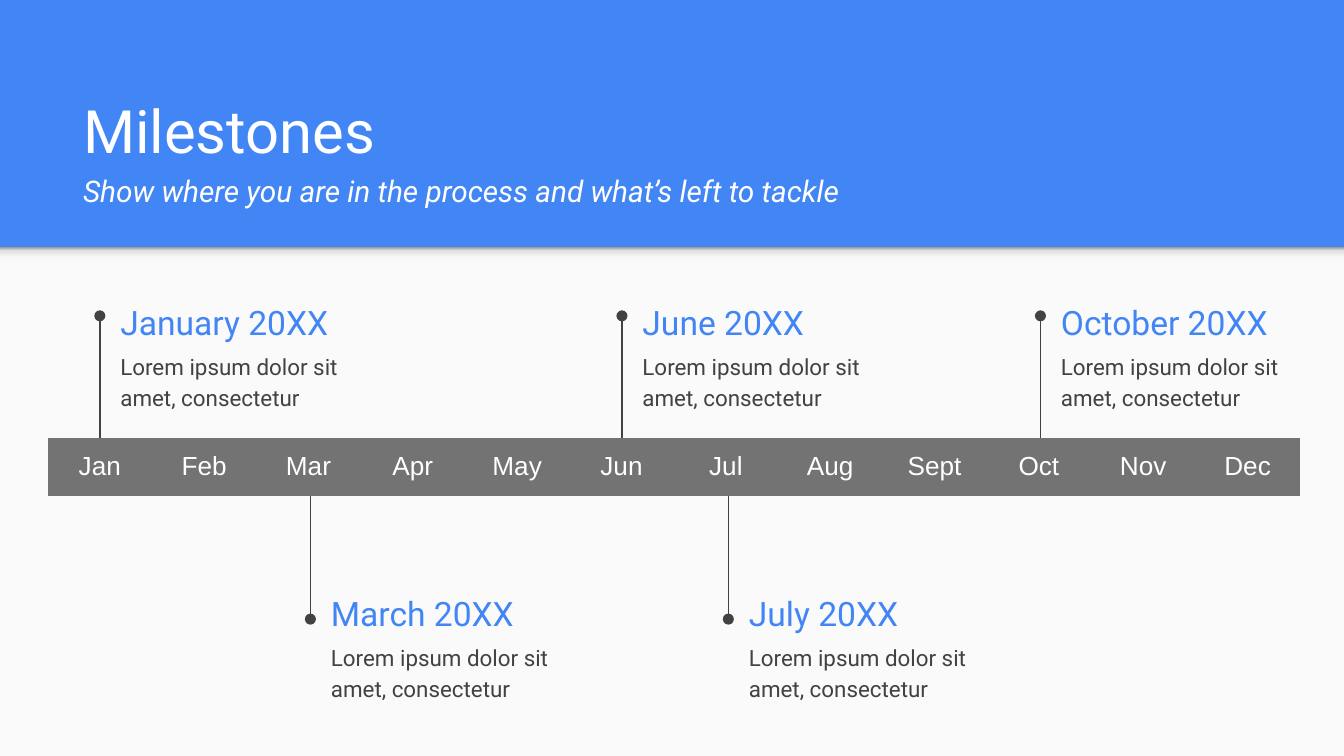
import dataclasses

import lxml.etree
import pptx
import pptx.dml.color
import pptx.enum.shapes
import pptx.enum.text
import pptx.oxml.ns
import pptx.util

Pt = pptx.util.Pt
qn = pptx.oxml.ns.qn
ANCHOR = pptx.enum.text.MSO_ANCHOR
NO_GRID_STYLE = "{2D5ABB26-0587-4C30-8999-92F81FD0307C}"


@dataclasses.dataclass(frozen=True)
class Theme:
    blue: str = "4285F4"
    paper: str = "FAFAFA"
    ink: str = "424242"
    bar: str = "737373"
    white: str = "FFFFFF"
    edge: tuple = ((0, "999999"), (20, "DEDEDE"), (64, "F9F9F9"), (100, "F9F9F9"))
    font: str = "Roboto"
    bar_font: str = "Arial"
    title: int = 32
    subtitle: int = 16
    heading: int = 18
    month: int = 14
    body: int = 12
    inset: float = 7.2
    line: float = 0.75


def rgb(value):
    return pptx.dml.color.RGBColor.from_string(value)


def write(p, text, size, color, font, italic=False, align=None,
          before=None, after=None, spacing=None):
    r = p.add_run()
    r.text = text
    r.font.size = Pt(size)
    r.font.name = font
    r.font.italic = italic
    r.font.color.rgb = rgb(color)
    p.alignment = align
    p.line_spacing = spacing
    if before is not None:
        p.space_before = Pt(before)
    if after is not None:
        p.space_after = Pt(after)


class Deck:
    def __init__(self, theme, width, height):
        self.theme = theme
        self.prs = pptx.Presentation()
        self.prs.slide_width, self.prs.slide_height = Pt(width), Pt(height)
        self.s = self.prs.slides.add_slide(self.prs.slide_layouts[6])
        fill = self.s.background.fill
        fill.solid()
        fill.fore_color.rgb = rgb(theme.blue)

    def rect(self, x, y, w, h, color):
        sp = self.s.shapes.add_shape(
            pptx.enum.shapes.MSO_SHAPE.RECTANGLE, Pt(x), Pt(y), Pt(w), Pt(h))
        sp.shadow.inherit = False
        sp.fill.solid()
        sp.fill.fore_color.rgb = rgb(color)
        sp.line.fill.background()
        return sp

    def gradient_rect(self, x, y, w, h, stops):
        sp = self.rect(x, y, w, h, stops[0][1])
        sp.fill.gradient()
        sp.fill.gradient_angle = 270
        gs_list = sp._element.spPr.find(qn("a:gradFill")).find(qn("a:gsLst"))
        for gs in list(gs_list):
            gs_list.remove(gs)
        for position, color in stops:
            gs = lxml.etree.SubElement(gs_list, qn("a:gs"), pos=str(position * 1000))
            lxml.etree.SubElement(gs, qn("a:srgbClr"), val=color)

    def text(self, x, y, w, h, *paragraphs, anchor=ANCHOR.TOP):
        tf = self.s.shapes.add_textbox(Pt(x), Pt(y), Pt(w), Pt(h)).text_frame
        tf.word_wrap = True
        tf.vertical_anchor = anchor
        tf.margin_left = tf.margin_right = Pt(self.theme.inset)
        tf.margin_top = tf.margin_bottom = Pt(self.theme.inset)
        for i, (text, style) in enumerate(paragraphs):
            p = tf.add_paragraph() if i else tf.paragraphs[0]
            write(p, text, **style)

    def pin(self, x, y1, y2):
        line = self.s.shapes.add_connector(
            pptx.enum.shapes.MSO_CONNECTOR.STRAIGHT, Pt(x), Pt(y1), Pt(x), Pt(y2))
        line.line.width = Pt(self.theme.line)
        line.line.color.rgb = rgb(self.theme.ink)
        lxml.etree.SubElement(line.line._get_or_add_ln(), qn("a:tailEnd"), type="oval")
        lxml.etree.SubElement(line._element.spPr, qn("a:effectLst"))

    def milestone(self, x, date, detail, start, end, date_y, detail_y):
        t = self.theme
        self.pin(x, start, end)
        self.text(x + 3.9, date_y, 142.6, 31,
                  (date, dict(size=t.heading, color=t.blue, font=t.font)),
                  anchor=ANCHOR.MIDDLE)
        self.text(x + 3.9, detail_y, 142.6, 45.4,
                  (detail, dict(size=t.body, color=t.ink, font=t.font,
                                spacing=1.15, after=16)))

    def month_bar(self, x, y, column, height, months):
        t = self.theme
        table = self.s.shapes.add_table(
            1, len(months), Pt(x), Pt(y), Pt(column * len(months)), Pt(height)).table
        table.first_row = table.horz_banding = False
        table._tbl.tblPr.find(qn("a:tableStyleId")).text = NO_GRID_STYLE
        table.rows[0].height = Pt(height)
        for i, month in enumerate(months):
            table.columns[i].width = Pt(column)
            cell = table.cell(0, i)
            cell.fill.solid()
            cell.fill.fore_color.rgb = rgb(t.bar)
            cell.margin_left = cell.margin_right = Pt(t.inset)
            cell.margin_top = cell.margin_bottom = Pt(t.inset)
            write(cell.text_frame.paragraphs[0], month, t.month, t.white, t.bar_font,
                  align=pptx.enum.text.PP_ALIGN.CENTER)


def main():
    t = Theme()
    deck = Deck(t, 720, 405)
    deck.rect(0, 132.5, 720, 272.5, t.paper)
    deck.gradient_rect(0, 132.5, 720, 8.5, t.edge)
    deck.text(37.4, 58.3, 647.3, 60.5,
              ("Milestones", dict(size=t.title, color=t.white, font=t.font)),
              ("Show where you are in the process and what’s left to tackle",
               dict(size=t.subtitle, color=t.white, font=t.font, italic=True,
                    before=4, after=4)),
              anchor=ANCHOR.BOTTOM)

    above = dict(start=235, end=169.2, date_y=157.1, detail_y=180)
    below = dict(start=265.7, end=331.7, date_y=313, detail_y=335.7)
    for x, date, side in (
        (53.5, "January 20XX", above),
        (166.3, "March 20XX", below),
        (333.2, "June 20XX", above),
        (390.2, "July 20XX", below),
        (557.4, "October 20XX", above),
    ):
        deck.milestone(x, date, "Lorem ipsum dolor sit amet, consectetur", **side)

    deck.month_bar(25.5, 234.7, 55.9, 30.4,
                   "Jan Feb Mar Apr May Jun Jul Aug Sept Oct Nov Dec".split())
    deck.prs.save("out.pptx")


if __name__ == "__main__":
    main()
